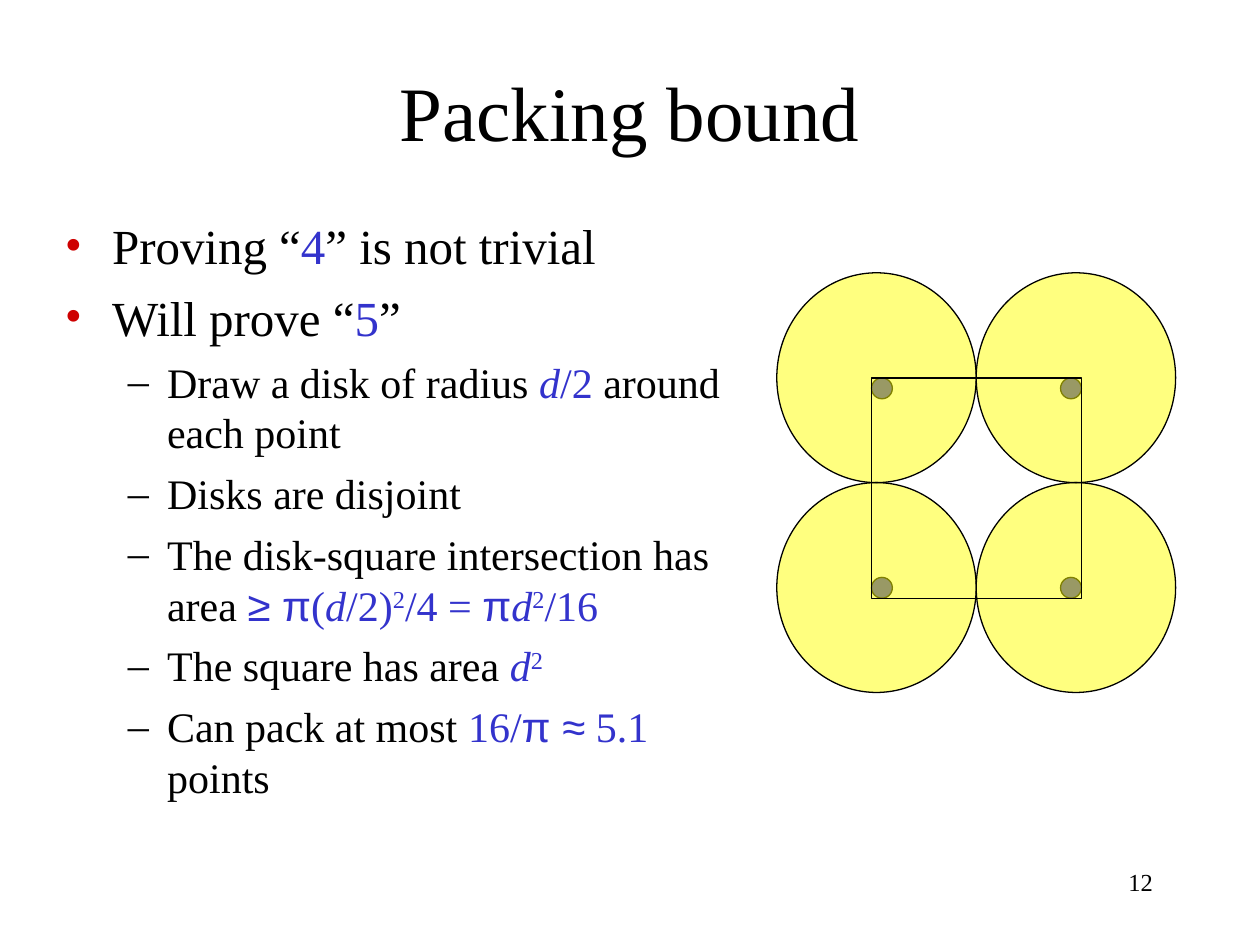
from dataclasses import dataclass

import lxml.etree
import pptx
import pptx.dml.color
import pptx.enum.shapes
import pptx.enum.text
import pptx.oxml
import pptx.oxml.ns
import pptx.util

Cm = pptx.util.Cm
Pt = pptx.util.Pt
ALIGN = pptx.enum.text.PP_ALIGN
ANCHOR = pptx.enum.text.MSO_ANCHOR
SHAPE = pptx.enum.shapes.MSO_SHAPE
SERIF, SANS = "Times New Roman", "Arial"
BLACK, BLUE, RED, YELLOW = "000000", "3333CC", "CE0000", "FFFF00"


@dataclass(frozen=True)
class Span:
    text: str
    color: str = BLACK
    face: str = SERIF
    italic: bool = False
    raised: bool = False


@dataclass(frozen=True)
class Level:
    bullet: str
    bullet_color: str
    margin: float
    hanging: float
    size: int
    space: int
    depth: int


@dataclass(frozen=True)
class Grid:
    left: float
    top: float
    width: float
    height: float
    step_x: float
    step_y: float


def blue(text: str, **style) -> Span:
    return Span(text, BLUE, **style)


MAIN = Level("•", RED, 0.95, 0.95, 28, 7, 0)
SUB = Level("–", BLACK, 2.06, 0.79, 24, 6, 1)
D = blue("d", italic=True)
SQUARED = blue("2", raised=True)

POINTS = [
    (MAIN, [Span("Proving “"), blue("4"), Span("” is not trivial")]),
    (MAIN, [Span("Will prove “"), blue("5"), Span("”")]),
    (SUB, [Span("Draw a disk of radius "), D, blue("/2 "), Span("around each point")]),
    (SUB, [Span("Disks are disjoint")]),
    (SUB, [Span("The disk-square intersection has area "), blue("≥ π", face=SANS),
           blue("("), D, blue("/2)"), SQUARED, blue("/4 = "),
           blue("π", face=SANS), D, SQUARED, blue("/16")]),
    (SUB, [Span("The square has area "), D, SQUARED]),
    (SUB, [Span("Can pack at most "), blue("16/"), blue("π ≈", face=SANS),
           blue(" 5.1 "), Span("points")]),
]

DOTS = Grid(17.57, 7.62, 0.42, 0.42, 3.81, 4.02)
DISKS = Grid(15.66, 5.5, 4.02, 4.23, 4.02, 4.23)


def rgb(color: str) -> pptx.dml.color.RGBColor:
    return pptx.dml.color.RGBColor.from_string(color)


def set_font(font, size: int, color: str = BLACK) -> None:
    font.name = SERIF
    font.size = Pt(size)
    font.color.rgb = rgb(color)


def place(shape, left: float, top: float, width: float, height: float) -> None:
    shape.left, shape.top = Cm(left), Cm(top)
    shape.width, shape.height = Cm(width), Cm(height)


def add_bullet(paragraph, level: Level) -> None:
    properties = paragraph._p.get_or_add_pPr()
    properties.set("marL", str(Cm(level.margin)))
    properties.set("indent", str(-Cm(level.hanging)))
    qn = pptx.oxml.ns.qn
    color = lxml.etree.SubElement(properties, qn("a:buClr"))
    lxml.etree.SubElement(color, qn("a:srgbClr"), val=level.bullet_color)
    lxml.etree.SubElement(properties, qn("a:buFont"), typeface=SERIF)
    lxml.etree.SubElement(properties, qn("a:buChar"), char=level.bullet)


def add_point(paragraph, level: Level, spans: list[Span], first: bool) -> None:
    add_bullet(paragraph, level)
    paragraph.level = level.depth
    paragraph.space_before = Pt(0 if first else level.space)
    paragraph.font.size = Pt(level.size)
    for part in spans:
        span = paragraph.add_run()
        span.text = part.text
        span.font.name = part.face
        span.font.color.rgb = rgb(part.color)
        if part.italic:
            span.font.italic = True
        if part.raised:
            span._r.get_or_add_rPr().set("baseline", "30000")


def add_figure(group, kind, left: float, top: float, width: float, height: float,
               color: str | None = None, opacity: int = 100) -> None:
    shape = group.shapes.add_shape(kind, Cm(left), Cm(top), Cm(width), Cm(height))
    shape.shadow.inherit = False
    shape.line.color.rgb = rgb(BLACK)
    shape.line.width = Pt(0.75)
    if color is None:
        shape.fill.background()
        return
    shape.fill.solid()
    shape.fill.fore_color.rgb = rgb(color)
    if opacity < 100:
        fill = shape._element.spPr.find(".//" + pptx.oxml.ns.qn("a:srgbClr"))
        lxml.etree.SubElement(fill, pptx.oxml.ns.qn("a:alpha"), val=str(opacity * 1000))


def add_circles(group, grid: Grid, color: str, opacity: int = 100) -> None:
    for row in range(2):
        for column in range(2):
            add_figure(group, SHAPE.OVAL, grid.left + column * grid.step_x,
                       grid.top + row * grid.step_y, grid.width, grid.height,
                       color, opacity)


def add_title(slide, text: str) -> None:
    title = slide.shapes.title
    place(title, 1.9, 0.64, 21.59, 3.18)
    frame = title.text_frame
    frame.text = text
    frame.auto_size = pptx.enum.text.MSO_AUTO_SIZE.NONE
    frame.vertical_anchor = ANCHOR.MIDDLE
    frame.paragraphs[0].alignment = ALIGN.CENTER
    set_font(frame.paragraphs[0].font, 44)


def add_box(slide, left: float, top: float, width: float, height: float):
    box = slide.shapes.add_textbox(Cm(left), Cm(top), Cm(width), Cm(height))
    box.text_frame.word_wrap = True
    return box.text_frame


def main() -> None:
    deck = pptx.Presentation()
    deck.slide_width, deck.slide_height = Cm(25.4), Cm(19.05)
    slide = deck.slides.add_slide(deck.slide_layouts[5])
    add_title(slide, "Packing bound")

    body = add_box(slide, 1.06, 4.23, 13.76, 13.55)
    for index, (level, spans) in enumerate(POINTS):
        paragraph = body.add_paragraph() if index else body.paragraphs[0]
        add_point(paragraph, level, spans, index == 0)

    packing = slide.shapes.add_group_shape()
    add_circles(packing, DOTS, BLUE)
    add_circles(packing, DISKS, YELLOW, 50)
    add_figure(packing, SHAPE.RECTANGLE, DOTS.left, DOTS.top,
               DOTS.step_x + DOTS.width, DOTS.step_y + DOTS.height)

    number = add_box(slide, 18.2, 17.36, 5.29, 1.27).paragraphs[0]
    number.text = "12"
    number.alignment = ALIGN.RIGHT
    set_font(number.font, 14)

    deck.save("out.pptx")


if __name__ == "__main__":
    main()
